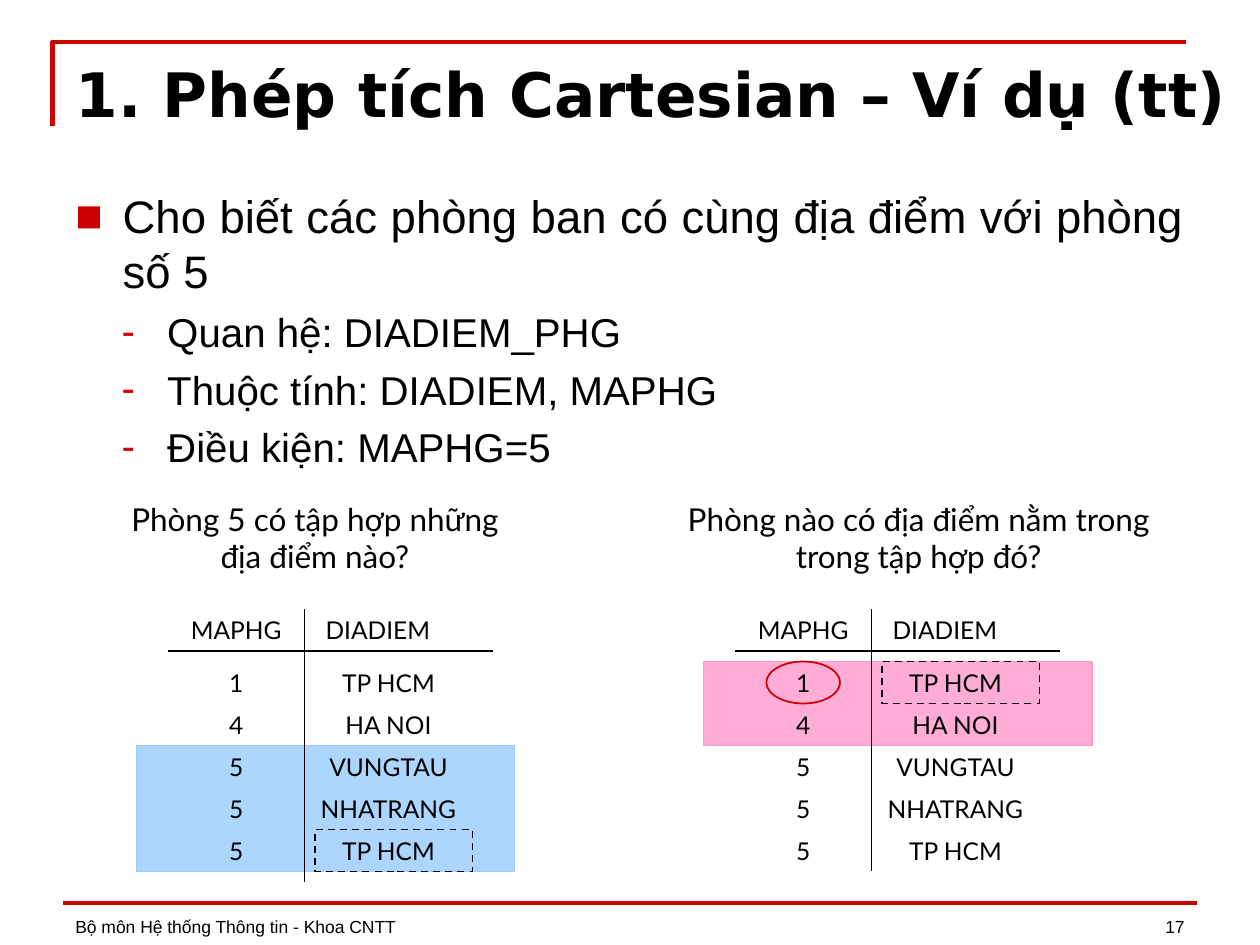
"""Build the slide on the Cartesian product with two marked relation tables."""
from dataclasses import dataclass
from typing import Optional

from lxml.etree import SubElement
from pptx import Presentation
from pptx.dml.color import RGBColor
from pptx.enum.dml import MSO_LINE
from pptx.enum.shapes import MSO_CONNECTOR, MSO_SHAPE
from pptx.enum.text import MSO_ANCHOR, MSO_AUTO_SIZE, PP_ALIGN
from pptx.oxml.ns import qn
from pptx.util import Pt


@dataclass(frozen=True)
class Theme:
    black: RGBColor = RGBColor(0, 0, 0)
    red: RGBColor = RGBColor(0xCC, 0, 0)
    pink: RGBColor = RGBColor(0xFF, 0x99, 0xCC)
    blue: RGBColor = RGBColor(0x99, 0xCC, 0xFF)
    title_font: str = "DejaVu Sans"
    body_font: str = "Arial"
    table_font: str = "Lato"
    title_size: int = 35
    body_size: int = 26
    sub_size: int = 23
    caption_size: int = 18
    cell_size: int = 14
    footer_size: int = 10


@dataclass(frozen=True)
class Box:
    left: float
    top: float
    width: float
    height: float

    def lengths(self) -> tuple:
        return tuple(Pt(v) for v in (self.left, self.top, self.width, self.height))


@dataclass(frozen=True)
class Bullet:
    text: str
    mark: str
    size: int
    margin: float
    hang: float
    level: int = 0


@dataclass(frozen=True)
class Relation:
    left: float
    divider_bottom: float
    highlight: Box
    color: RGBColor


@dataclass(frozen=True)
class Mark:
    shape: MSO_SHAPE
    box: Box
    color: RGBColor
    dash: Optional[MSO_LINE] = None


THEME = Theme()
HEADER = ("MAPHG", "DIADIEM")
ROWS = (("1", "TP HCM"), ("4", "HA NOI"), ("5", "VUNGTAU"), ("5", "NHATRANG"), ("5", "TP HCM"))
HEADER_TOP, FIRST_ROW_TOP, ROW_HEIGHT = 348, 378, 24
KEY_WIDTH, PLACE_WIDTH, HEADER_WIDTH, RULE_WIDTH = 78, 96, 84, 186

BULLETS = (
    Bullet("Cho biết các phòng ban có cùng địa điểm với phòng số 5", "■", THEME.body_size, 27, 27),
    *(Bullet(text, "-", THEME.sub_size, 52.5, 26, 1) for text in (
        "Quan hệ: DIADIEM_PHG", "Thuộc tính: DIADIEM, MAPHG", "Điều kiện: MAPHG=5")),
)
CAPTIONS = (
    ("Phòng 5 có tập hợp những địa điểm nào?", Box(60, 282, 240, 50.4)),
    ("Phòng nào có địa điểm nằm trong trong tập hợp đó?", Box(384, 282, 282, 50.4)),
)
FOOTERS = (
    ("Bộ môn Hệ thống Thông tin - Khoa CNTT", Box(36, 503, 438, 36), PP_ALIGN.LEFT),
    ("17", Box(516, 503, 168, 36), PP_ALIGN.RIGHT),
)
RELATIONS = (
    Relation(420, 498, Box(402, 378, 222, 48), THEME.pink),
    Relation(96, 504, Box(78, 426, 216, 72), THEME.blue),
)
MARKS = (
    Mark(MSO_SHAPE.OVAL, Box(438, 378, 42, 24), THEME.red),
    Mark(MSO_SHAPE.RECTANGLE, Box(180, 474, 90, 24), THEME.black, MSO_LINE.DASH),
    Mark(MSO_SHAPE.RECTANGLE, Box(504, 378, 90, 24), THEME.black, MSO_LINE.DASH),
)


def style(para, font: str, size: float, align: PP_ALIGN, bold: bool = False) -> None:
    """Set the alignment and font of a paragraph."""
    para.alignment = align
    para.font.name = font
    para.font.size = Pt(size)
    para.font.bold = bold
    para.font.color.rgb = THEME.black


def add_text(shapes, text: str, box: Box, font: str, size: float,
             align: PP_ALIGN = PP_ALIGN.CENTER, anchor: MSO_ANCHOR = MSO_ANCHOR.TOP) -> None:
    """Add a wrapping text box with one paragraph."""
    frame = shapes.add_textbox(*box.lengths()).text_frame
    frame.word_wrap = True
    frame.vertical_anchor = anchor
    frame.text = text
    style(frame.paragraphs[0], font, size, align)


def add_line(shapes, start: tuple, end: tuple, color: RGBColor, width: float) -> None:
    """Add a straight line without a shadow."""
    line = shapes.add_connector(MSO_CONNECTOR.STRAIGHT, *(Pt(v) for v in (*start, *end)))
    line.line.color.rgb = color
    line.line.width = Pt(width)
    SubElement(line._element.spPr, qn("a:effectLst"))


def add_frame(page) -> None:
    """Draw the red corner above the title and the rule above the footer."""
    builder = page.shapes.build_freeform(Pt(30), Pt(72))
    builder.add_line_segments([(Pt(30), Pt(24)), (Pt(678), Pt(24))], close=False)
    corner = builder.convert_to_shape()
    corner.shadow.inherit = False
    corner.fill.background()
    corner.line.color.rgb = THEME.red
    corner.line.width = Pt(2.5)
    add_line(page.shapes, (36, 516), (684, 516), THEME.red, 2)


def set_title(page, text: str) -> None:
    """Place and format the title placeholder."""
    title = page.shapes.title
    title.left, title.top, title.width, title.height = Box(36, 28, 684, 50).lengths()
    frame = title.text_frame
    frame.text = text
    frame.auto_size = MSO_AUTO_SIZE.NONE
    frame.vertical_anchor = MSO_ANCHOR.BOTTOM
    style(frame.paragraphs[0], THEME.title_font, THEME.title_size, PP_ALIGN.LEFT, True)


def add_bullets(page, box: Box) -> None:
    """Add the bulleted body text."""
    frame = page.shapes.add_textbox(*box.lengths()).text_frame
    frame.word_wrap = True
    for index, bullet in enumerate(BULLETS):
        para = frame.add_paragraph() if index else frame.paragraphs[0]
        para.text = bullet.text
        para.level = bullet.level
        if index:
            para.space_before = Pt(5.5)
        properties = para._p.get_or_add_pPr()
        properties.set("marL", str(Pt(bullet.margin)))
        properties.set("indent", str(-Pt(bullet.hang)))
        color = SubElement(properties, qn("a:buClr"))
        SubElement(color, qn("a:srgbClr")).set("val", str(THEME.red))
        SubElement(properties, qn("a:buFont")).set("typeface", THEME.body_font)
        SubElement(properties, qn("a:buChar")).set("char", bullet.mark)
        style(para, THEME.body_font, bullet.size, PP_ALIGN.JUSTIFY)


def add_relation(page, relation: Relation) -> None:
    """Draw one relation with its highlight, rules and cells as a group."""
    shapes = page.shapes.add_group_shape().shapes
    band = shapes.add_shape(MSO_SHAPE.RECTANGLE, *relation.highlight.lengths())
    band.shadow.inherit = False
    band.fill.solid()
    band.fill.fore_color.rgb = relation.color
    band.line.color.rgb = relation.color
    band.line.width = Pt(1)
    fill_color = band._element.spPr.find(qn("a:solidFill")).find(qn("a:srgbClr"))
    SubElement(fill_color, qn("a:alpha")).set("val", "80000")

    left, divider = relation.left, relation.left + KEY_WIDTH
    rule_top = HEADER_TOP + ROW_HEIGHT
    add_line(shapes, (left, rule_top), (left + RULE_WIDTH, rule_top), THEME.black, 1)
    add_line(shapes, (divider, HEADER_TOP), (divider, relation.divider_bottom), THEME.black, 1)
    lines = [(HEADER_TOP, HEADER_WIDTH, HEADER)]
    lines += [(FIRST_ROW_TOP + i * ROW_HEIGHT, PLACE_WIDTH, row) for i, row in enumerate(ROWS)]
    for top, place_width, (key, place) in lines:
        for text, x, width in ((key, left, KEY_WIDTH), (place, divider, place_width)):
            add_text(shapes, text, Box(x, top, width, ROW_HEIGHT), THEME.table_font, THEME.cell_size)


def add_mark(page, mark: Mark) -> None:
    """Outline one table cell."""
    shape = page.shapes.add_shape(mark.shape, *mark.box.lengths())
    shape.shadow.inherit = False
    shape.fill.background()
    shape.line.color.rgb = mark.color
    shape.line.width = Pt(1)
    if mark.dash:
        shape.line.dash_style = mark.dash


def main() -> None:
    """Build and save the deck."""
    deck = Presentation()
    deck.slide_width, deck.slide_height = Pt(720), Pt(540)
    page = deck.slides.add_slide(deck.slide_layouts[5])
    add_frame(page)
    for text, box, align in FOOTERS:
        add_text(page.shapes, text, box, THEME.body_font, THEME.footer_size, align, MSO_ANCHOR.BOTTOM)
    set_title(page, "1. Phép tích Cartesian – Ví dụ (tt)")
    add_bullets(page, Box(36, 104, 648, 170))
    for text, box in CAPTIONS:
        add_text(page.shapes, text, box, THEME.table_font, THEME.caption_size)
    for relation in RELATIONS:
        add_relation(page, relation)
    for mark in MARKS:
        add_mark(page, mark)
    deck.save("out.pptx")


if __name__ == "__main__":
    main()
